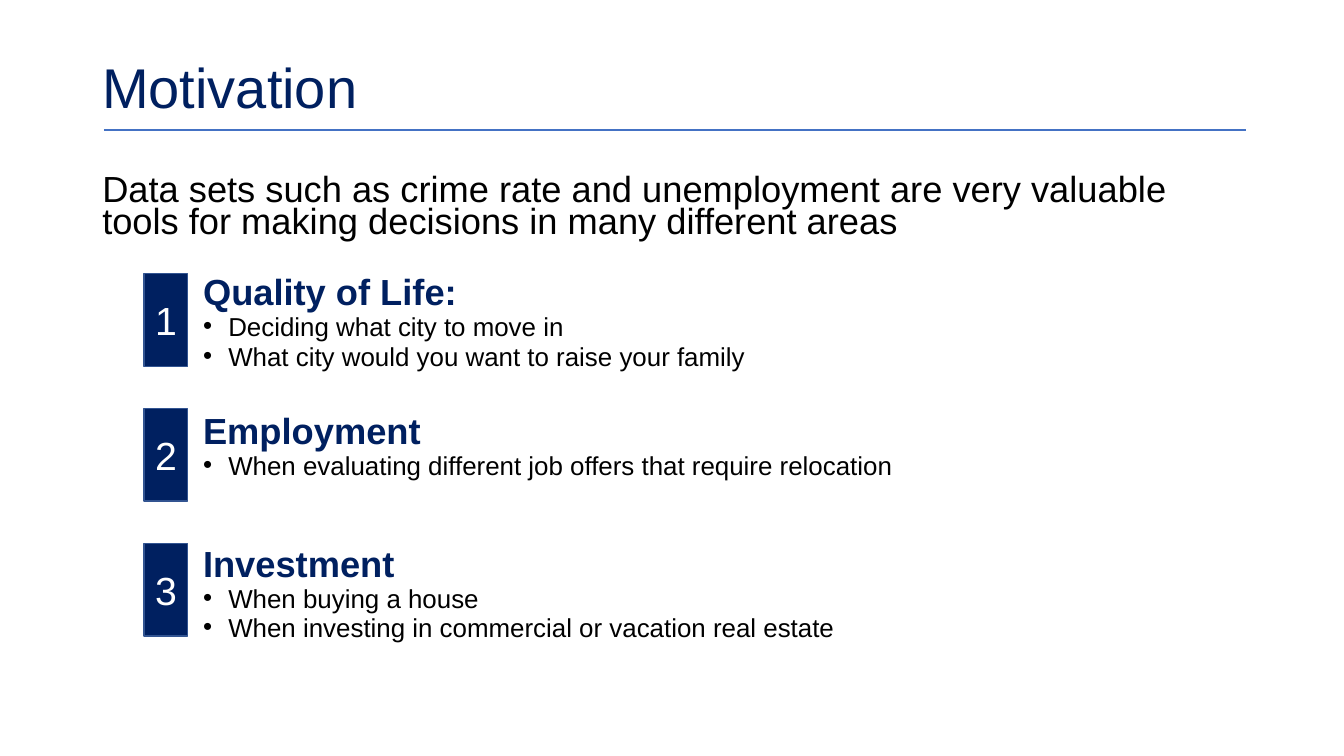
from dataclasses import dataclass

from lxml import etree
from pptx import Presentation
from pptx.dml.color import RGBColor
from pptx.enum.shapes import MSO_CONNECTOR, MSO_SHAPE
from pptx.enum.text import MSO_ANCHOR, PP_ALIGN
from pptx.oxml.ns import qn
from pptx.util import Pt

RECT = MSO_SHAPE.RECTANGLE
LINE = MSO_CONNECTOR.STRAIGHT
MIDDLE = MSO_ANCHOR.MIDDLE
CENTER = PP_ALIGN.CENTER


@dataclass
class Theme:
    font: str = "Arial"
    navy: RGBColor = RGBColor(0x00, 0x20, 0x60)
    black: RGBColor = RGBColor(0, 0, 0)
    white: RGBColor = RGBColor(255, 255, 255)
    rule: RGBColor = RGBColor(0x44, 0x72, 0xC4)
    edge: RGBColor = RGBColor(0x32, 0x54, 0x91)
    title: float = 40
    lead: float = 25.9
    item: float = 18.5
    badge: float = 28


theme = Theme()


def style(para, text, size, color, bold=False):
    para.text = text
    font = para.runs[0].font
    font.name = theme.font
    font.size = Pt(size)
    font.color.rgb = color
    font.bold = bold


def indent(para, left, hang=0, bullet=False):
    props = para._p.get_or_add_pPr()
    props.set("marL", str(Pt(left)))
    props.set("indent", str(Pt(hang)))
    if bullet:
        face = etree.SubElement(props, qn("a:buFont"))
        face.set("typeface", theme.font)
        mark = etree.SubElement(props, qn("a:buChar"))
        mark.set("char", "•")


deck = Presentation()
deck.slide_width = Pt(960)
deck.slide_height = Pt(540)
slide = deck.slides.add_slide(deck.slide_layouts[6])
shapes = slide.shapes

title = shapes.add_textbox(Pt(66), Pt(28.8), Pt(828), Pt(71.3)).text_frame
title.word_wrap = True
title.vertical_anchor = MIDDLE
style(title.paragraphs[0], "Motivation", theme.title, theme.navy)
title.paragraphs[0].line_spacing = 0.9

body = shapes.add_textbox(Pt(66), Pt(122.4), Pt(828), Pt(364.3)).text_frame
body.word_wrap = True
lead = body.paragraphs[0]
style(
    lead,
    "Data sets such as crime rate and unemployment are very valuable "
    "tools for making decisions in many different areas",
    theme.lead,
    theme.black,
)

topics = [
    ("Quality of Life:", 28, [
        "Deciding what city to move in",
        "What city would you want to raise your family",
    ]),
    ("Employment", 34, [
        "When evaluating different job offers that require relocation",
    ]),
    ("Investment", 51, [
        "When buying a house",
        "When investing in commercial or vacation real estate",
    ]),
]

for name, gap, items in topics:
    head = body.add_paragraph()
    style(head, name, theme.lead, theme.navy, True)
    head.space_before = Pt(gap)
    indent(head, 72)
    for text in items:
        item = body.add_paragraph()
        style(item, text, theme.item, theme.black)
        item.space_before = Pt(4.5)
        item.level = 2
        indent(item, 90, -18, True)

for para in body.paragraphs:
    para.line_spacing = 0.74

rule = shapes.add_connector(LINE, Pt(74.2), Pt(92.9), Pt(889.9), Pt(92.9))
rule.line.color.rgb = theme.rule
rule.line.width = Pt(1)
etree.SubElement(rule._element.spPr, qn("a:effectLst"))

for step in range(len(topics)):
    badge = shapes.add_shape(RECT, Pt(103), Pt(195.5 + 96.3 * step), Pt(31), Pt(66.2))
    badge.shadow.inherit = False
    badge.fill.solid()
    badge.fill.fore_color.rgb = theme.navy
    badge.line.color.rgb = theme.edge
    badge.line.width = Pt(1)
    frame = badge.text_frame
    frame.vertical_anchor = MIDDLE
    style(frame.paragraphs[0], str(step + 1), theme.badge, theme.white)
    frame.paragraphs[0].alignment = CENTER

deck.save("out.pptx")
